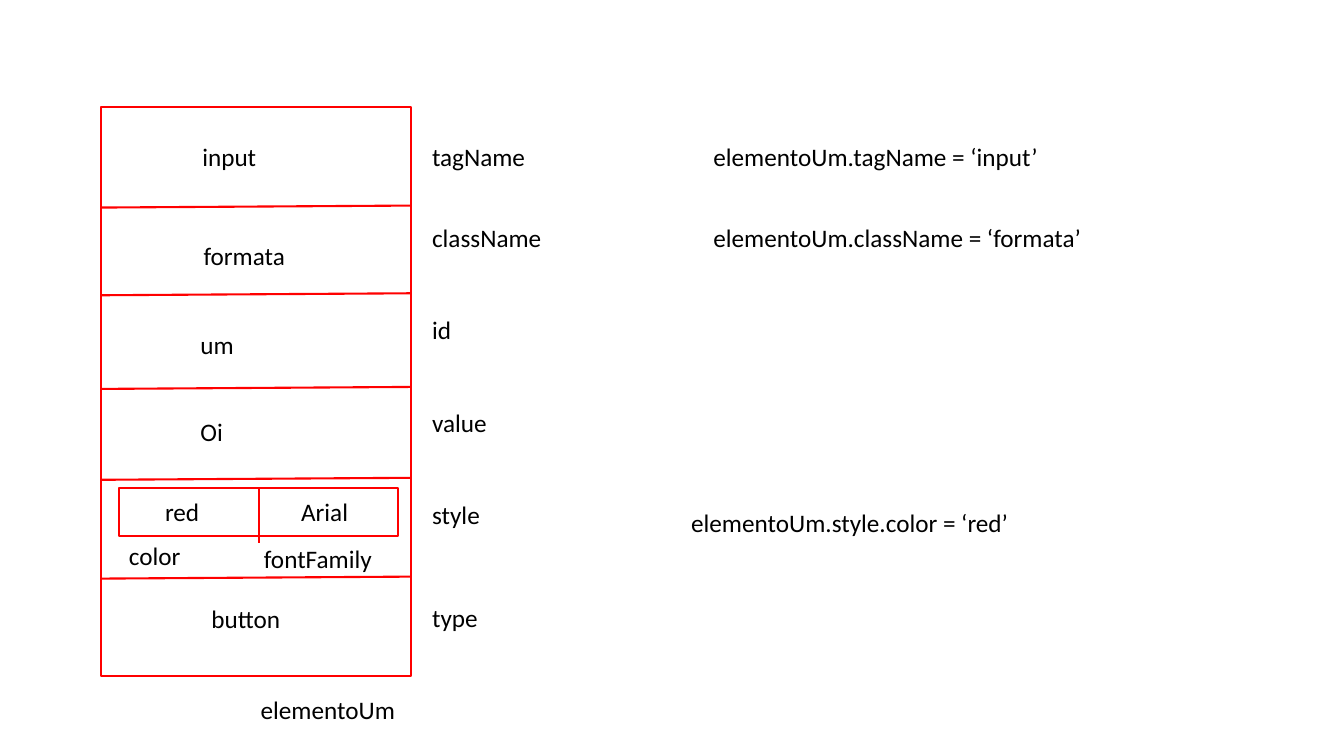
"""Draw the elementoUm object as a stack of property cells with access examples."""
from pptx import Presentation
from pptx.dml.color import RGBColor
from pptx.enum.shapes import MSO_CONNECTOR as Connector, MSO_SHAPE as Shape
from pptx.enum.text import MSO_AUTO_SIZE as AutoSize
from pptx.oxml.ns import qn
from pptx.util import Cm, Pt
from lxml.etree import SubElement

RED = "FF0000"
FRAME_LEFT, FRAME_TOP, FRAME_WIDTH, FRAME_HEIGHT = 2.54, 2.69, 7.82, 14.35
INNER_LEFT, INNER_TOP, INNER_WIDTH, INNER_HEIGHT = 3, 12.29, 7.04, 1.22
NAME_LEFT = 10.64
DIVIDER_RISE = 0.05


def color(hex_string):
    return RGBColor.from_string(hex_string)


def add_label(text, left, top, width, font="Calibri", size=18, fill="000000"):
    box = slide.shapes.add_textbox(Cm(left), Cm(top), Cm(width), Cm(1.02))
    frame = box.text_frame
    frame.word_wrap = False
    frame.auto_size = AutoSize.SHAPE_TO_FIT_TEXT
    span = frame.paragraphs[0].add_run()
    span.text = text
    span.font.name = font
    span.font.size = Pt(size)
    span.font.color.rgb = color(fill)


deck = Presentation()
deck.slide_width, deck.slide_height = Cm(33.87), Cm(19.05)
slide = deck.slides.add_slide(deck.slide_layouts[6])

rectangles = []
for left, top, width, height in [
    (FRAME_LEFT, FRAME_TOP, FRAME_WIDTH, FRAME_HEIGHT),
    (INNER_LEFT, INNER_TOP, INNER_WIDTH, INNER_HEIGHT),
]:
    rectangle = slide.shapes.add_shape(
        Shape.RECTANGLE, Cm(left), Cm(top), Cm(width), Cm(height)
    )
    rectangle.shadow.inherit = False
    rectangle.fill.background()
    rectangle.line.color.rgb = color(RED)
    rectangle.line.width = Pt(1.5)
    rectangles.append(rectangle)
object_frame, style_frame = rectangles

frame_right = FRAME_LEFT + FRAME_WIDTH
style_middle = INNER_LEFT + INNER_WIDTH / 2
divider_ends = [
    (FRAME_LEFT, top, frame_right, top - DIVIDER_RISE)
    for top in (5.23, 7.44, 9.8, 12.09, 14.58)
]
divider_ends.append((style_middle, INNER_TOP, style_middle, 13.69))

for ends in divider_ends:
    divider = slide.shapes.add_connector(Connector.STRAIGHT, *map(Cm, ends))
    divider.line.color.rgb = color(RED)
    divider.line.width = Pt(1.5)
    SubElement(divider.element.spPr, qn("a:effectLst"))
divider.begin_connect(style_frame, 0)

for name, top, width in [
    ("tagName", 3.43, 2.95),
    ("className", 5.49, 3.3),
    ("id", 7.8, 0.99),
    ("value", 10.13, 1.9),
    ("style", 12.47, 1.73),
    ("type", 15.06, 1.68),
]:
    add_label(name, NAME_LEFT, top, width)

for text, left, top, width in [
    ("input", 4.85, 3.43, 1.88),
    ("formata", 4.88, 5.92, 2.59),
    ("um", 4.8, 8.18, 1.37),
    ("Oi", 4.8, 10.36, 1.09),
    ("red", 3.91, 12.37, 1.4),
    ("Arial", 7.34, 12.37, 1.7),
    ("color", 3, 13.49, 1.83),
    ("fontFamily", 6.4, 13.56, 3.25),
    ("button", 5.08, 15.09, 2.29),
    ("elementoUm", 6.32, 17.37, 3.94),
    ("elementoUm.tagName = ‘input’", 17.73, 3.43, 8.74),
    ("elementoUm.className = ‘formata’", 17.73, 5.49, 9.88),
    ("elementoUm.style.color = ‘red’", 17.17, 12.65, 8.79),
]:
    add_label(text, left, top, width)

deck.save("out.pptx")
